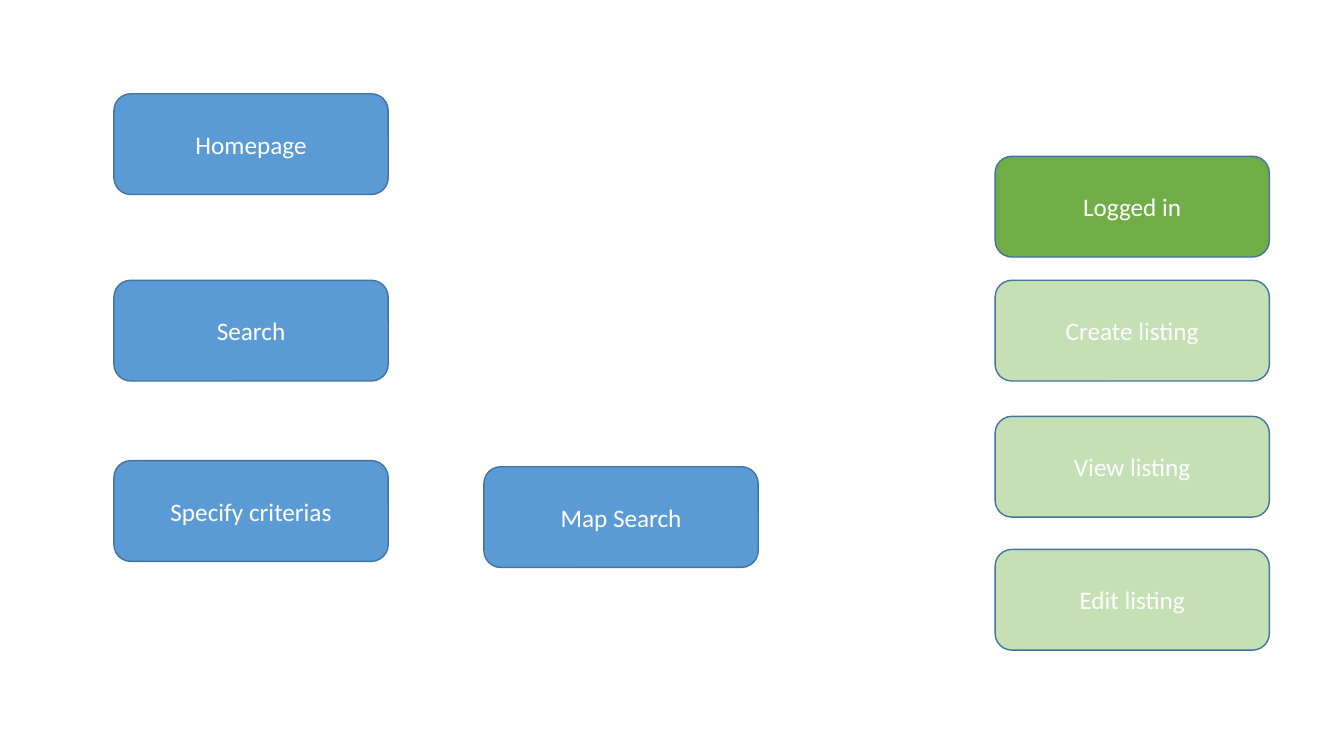
import dataclasses

import pptx
import pptx.dml.color
import pptx.enum.shapes
import pptx.enum.text
import pptx.slide
import pptx.util


@dataclasses.dataclass(frozen=True)
class Theme:
    visitor: str = "5B9BD5"
    logged_in: str = "70AD47"
    listing: str = "C5E0B4"
    outline: str = "43739E"
    label: str = "FFFFFF"
    font: str = "Calibri"
    label_size: float = 18
    outline_width: float = 1


@dataclasses.dataclass(frozen=True)
class Page:
    label: str
    left: float  # percent of slide width
    top: float  # percent of slide height
    fill: str


THEME = Theme()
SLIDE_WIDTH = pptx.util.Inches(13.33)
SLIDE_HEIGHT = pptx.util.Inches(7.5)

# Columns and page size, in percent of the slide
SEARCH_COLUMN, MAP_COLUMN, ACCOUNT_COLUMN = 8.48, 36.01, 74.04
PAGE_WIDTH, PAGE_HEIGHT = 20.41, 13.33
SHARED_ROW = 37.07  # Search and Create listing stand level

PAGES = [
    # Visitor pages
    Page("Homepage", SEARCH_COLUMN, 12.4, THEME.visitor),
    Page("Search", SEARCH_COLUMN, SHARED_ROW, THEME.visitor),
    Page("Specify criterias", SEARCH_COLUMN, 60.93, THEME.visitor),
    # Account pages
    Page("Logged in", ACCOUNT_COLUMN, 20.67, THEME.logged_in),
    Page("Create listing", ACCOUNT_COLUMN, SHARED_ROW, THEME.listing),
    Page("View listing", ACCOUNT_COLUMN, 55.07, THEME.listing),
    Page("Edit listing", ACCOUNT_COLUMN, 72.67, THEME.listing),
    # Map page
    Page("Map Search", MAP_COLUMN, 61.73, THEME.visitor),
]


def across(percent: float) -> pptx.util.Emu:
    return pptx.util.Emu(round(SLIDE_WIDTH * percent / 100))


def down(percent: float) -> pptx.util.Emu:
    return pptx.util.Emu(round(SLIDE_HEIGHT * percent / 100))


def color(code: str) -> pptx.dml.color.RGBColor:
    return pptx.dml.color.RGBColor.from_string(code)


def draw_page(slide: pptx.slide.Slide, page: Page) -> None:
    box = slide.shapes.add_shape(
        pptx.enum.shapes.MSO_SHAPE.ROUNDED_RECTANGLE,
        across(page.left), down(page.top), across(PAGE_WIDTH), down(PAGE_HEIGHT),
    )
    box.shadow.inherit = False
    box.fill.solid()
    box.fill.fore_color.rgb = color(page.fill)
    box.line.color.rgb = color(THEME.outline)
    box.line.width = pptx.util.Pt(THEME.outline_width)

    # Centred label
    box.text_frame.word_wrap = True
    box.text_frame.vertical_anchor = pptx.enum.text.MSO_ANCHOR.MIDDLE
    paragraph = box.text_frame.paragraphs[0]
    paragraph.alignment = pptx.enum.text.PP_ALIGN.CENTER
    label = paragraph.add_run()
    label.text = page.label
    label.font.name = THEME.font
    label.font.size = pptx.util.Pt(THEME.label_size)
    label.font.color.rgb = color(THEME.label)


def main() -> None:
    deck = pptx.Presentation()
    deck.slide_width, deck.slide_height = SLIDE_WIDTH, SLIDE_HEIGHT
    site_map = deck.slides.add_slide(deck.slide_layouts[6])
    for page in PAGES:
        draw_page(site_map, page)
    deck.save("out.pptx")


main()
